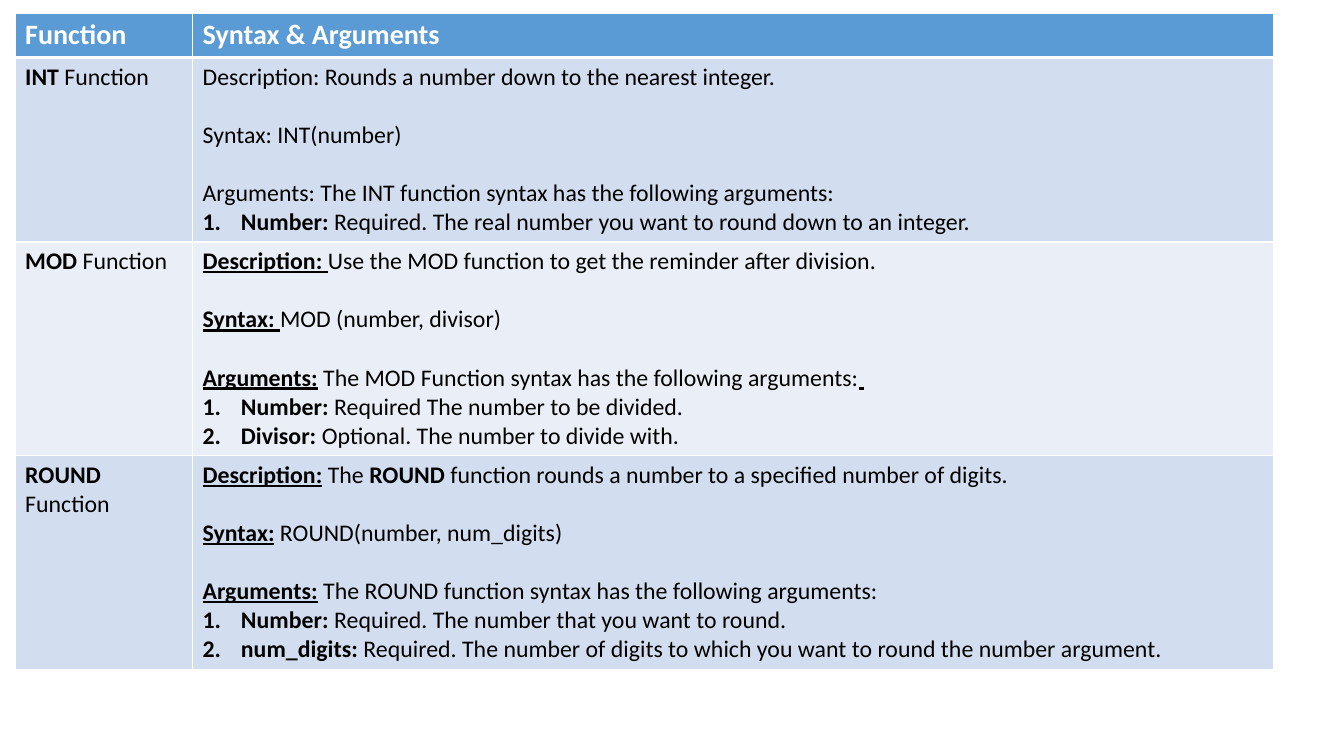
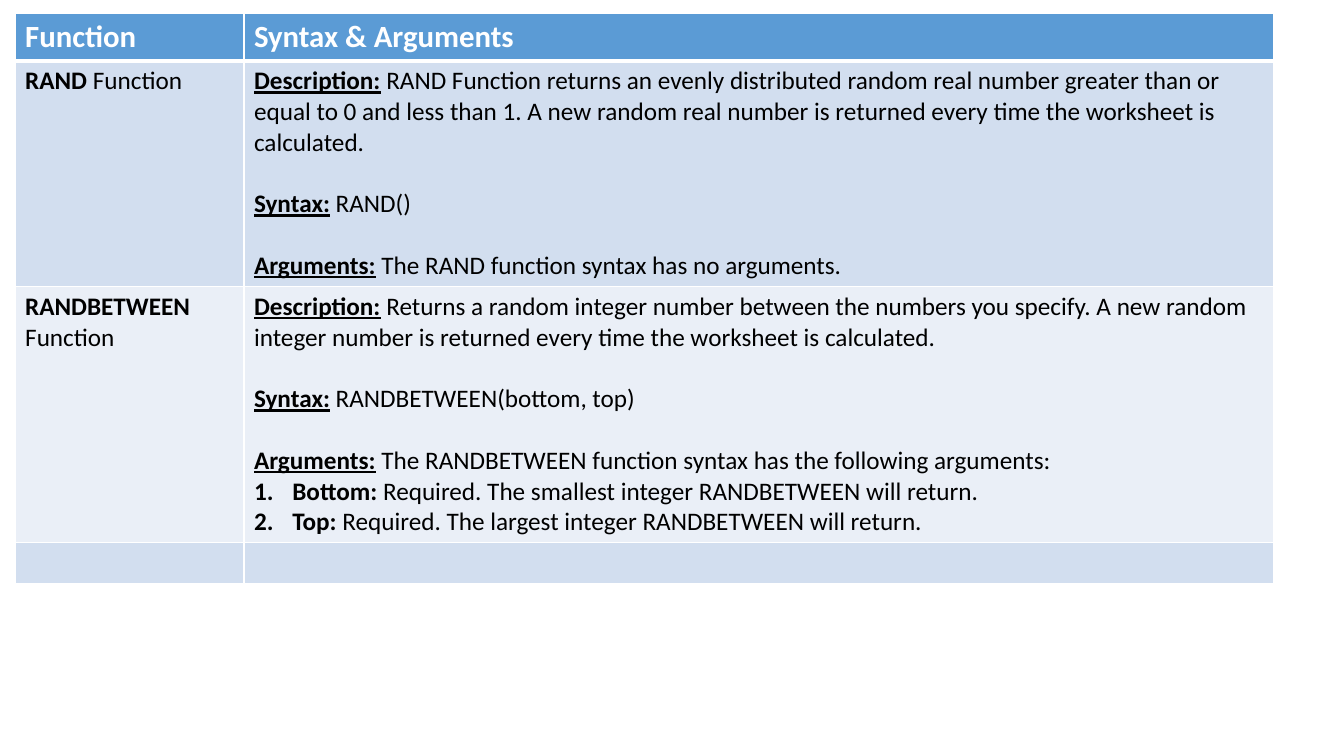
from lxml import etree
from pptx import Presentation
from pptx.dml.color import RGBColor as RGB
from pptx.oxml.ns import qn
from pptx.util import Inches, Pt

FONT = "Calibri"
WHITE, BLACK, HEADER = "FFFFFF", "000000", "5B9BD5"
BANDS = ["D2DEEF", "EAEFF7"]
LINE_HEIGHT = 1.22
HEADINGS = ("Function", "Syntax & Arguments")
STYLES = {
    "plain": {"bold": False, "underline": False},
    "bold": {"bold": True, "underline": False},
    "label": {"bold": True, "underline": True},
}


def write(cell, paragraphs, size, color):
    for index, (kind, *runs) in enumerate(paragraphs):
        frame = cell.text_frame
        paragraph = frame.paragraphs[0] if index == 0 else frame.add_paragraph()
        if kind == "item":
            props = paragraph._p.get_or_add_pPr()
            props.set("marL", str(Inches(0.38)))
            props.set("indent", str(-Inches(0.38)))
            etree.SubElement(props, qn("a:buFont"), typeface="+mj-lt")
            etree.SubElement(props, qn("a:buAutoNum"), type="arabicPeriod")
        elif index > 0:
            paragraph.space_before = Pt(round(size * LINE_HEIGHT, 2))
        for style, text in runs:
            run = paragraph.add_run()
            run.text = text
            formats = {"name": FONT, "size": Pt(size), **STYLES[style]}
            for name, value in formats.items():
                setattr(run.font, name, value)
            run.font.color.rgb = RGB.from_string(color)


def paint(cell, color, top, bottom):
    props = cell._tc.get_or_add_tcPr()
    for side, width in {"lnL": 1, "lnR": 1, "lnT": top, "lnB": bottom}.items():
        line = etree.SubElement(props, qn("a:" + side), w=str(Pt(width)))
        fill = etree.SubElement(line, qn("a:solidFill"))
        etree.SubElement(fill, qn("a:srgbClr"), val=WHITE)
    cell.fill.solid()
    cell.fill.fore_color.rgb = RGB.from_string(color)


rounding = [
    ([("bold", "INT"), ("plain", " Function")], [
        ("section", ("plain", "Description: Rounds a number down to the nearest integer.")),
        ("section", ("plain", "Syntax: INT(number)")),
        ("section", ("plain", "Arguments: The INT function syntax has the following arguments:")),
        ("item", ("bold", "Number: "),
         ("plain", "Required. The real number you want to round down to an integer.")),
    ]),
    ([("bold", "MOD"), ("plain", " Function")], [
        ("section", ("label", "Description: "),
         ("plain", "Use the MOD function to get the reminder after division.")),
        ("section", ("label", "Syntax: "), ("plain", "MOD (number, divisor)")),
        ("section", ("label", "Arguments:"),
         ("plain", " The MOD Function syntax has the following arguments:"), ("label", " ")),
        ("item", ("bold", "Number: "), ("plain", "Required The number to be divided.")),
        ("item", ("bold", "Divisor: "), ("plain", "Optional. The number to divide with.")),
    ]),
    ([("bold", "ROUND"), ("plain", " Function")], [
        ("section", ("label", "Description:"), ("plain", " The "), ("bold", "ROUND"),
         ("plain", " function rounds a number to a specified number of digits.")),
        ("section", ("label", "Syntax:"), ("plain", " ROUND(number, num_digits)")),
        ("section", ("label", "Arguments:"),
         ("plain", " The ROUND function syntax has the following arguments:")),
        ("item", ("bold", "Number: "), ("plain", "Required. The number that you want to round.")),
        ("item", ("bold", "num_digits: "),
         ("plain", "Required. The number of digits to which you want to round the number argument.")),
    ]),
]

random_numbers = [
    ([("bold", "RAND"), ("plain", " Function")], [
        ("section", ("label", "Description:"),
         ("plain", " RAND Function returns an evenly distributed random real number greater than "
                   "or equal to 0 and less than 1. A new random real number is returned every time "
                   "the worksheet is calculated.")),
        ("section", ("label", "Syntax:"), ("plain", " RAND()")),
        ("section", ("label", "Arguments:"),
         ("plain", " The RAND function syntax has no arguments.")),
    ]),
    ([("bold", "RANDBETWEEN "), ("plain", "Function")], [
        ("section", ("label", "Description:"),
         ("plain", " Returns a random integer number between the numbers you specify. A new random "
                   "integer number is returned every time the worksheet is calculated.")),
        ("section", ("label", "Syntax:"), ("plain", " RANDBETWEEN(bottom, top)")),
        ("section", ("label", "Arguments:"),
         ("plain", " The RANDBETWEEN function syntax has the following arguments:")),
        ("item", ("bold", "Bottom: "),
         ("plain", "Required. The smallest integer RANDBETWEEN will return.")),
        ("item", ("bold", "Top: "),
         ("plain", "Required. The largest integer RANDBETWEEN will return.")),
    ]),
    ([], []),
]

pages = [
    (rounding, 20, 17, [1.76, 10.72], [0.44, 1.83, 2.12, 2.12]),
    (random_numbers, 22, 18, [2.27, 10.21], [0.47, 2.24, 2.54, 0.4]),
]

deck = Presentation()
deck.slide_width, deck.slide_height = Inches(13.33), Inches(7.5)

for functions, heading_size, body_size, widths, heights in pages:
    slide = deck.slides.add_slide(deck.slide_layouts[6])
    table = slide.shapes.add_table(
        len(heights), len(widths), Inches(0.15), Inches(0.13),
        Inches(sum(widths)), Inches(sum(heights))).table
    table.horz_banding = False
    for column, width in zip(table.columns, widths):
        column.width = Inches(width)
    for row, height in zip(table.rows, heights):
        row.height = Inches(height)

    for column, heading in enumerate(HEADINGS):
        cell = table.cell(0, column)
        paint(cell, HEADER, 1, 3)
        write(cell, [("section", ("bold", heading))], heading_size, WHITE)

    for row, (title, details) in enumerate(functions, 1):
        for column, paragraphs in enumerate([[("section", *title)], details]):
            cell = table.cell(row, column)
            paint(cell, BANDS[(row - 1) % 2], 3 if row == 1 else 1, 1)
            write(cell, paragraphs, body_size, BLACK)

deck.save("out.pptx")
